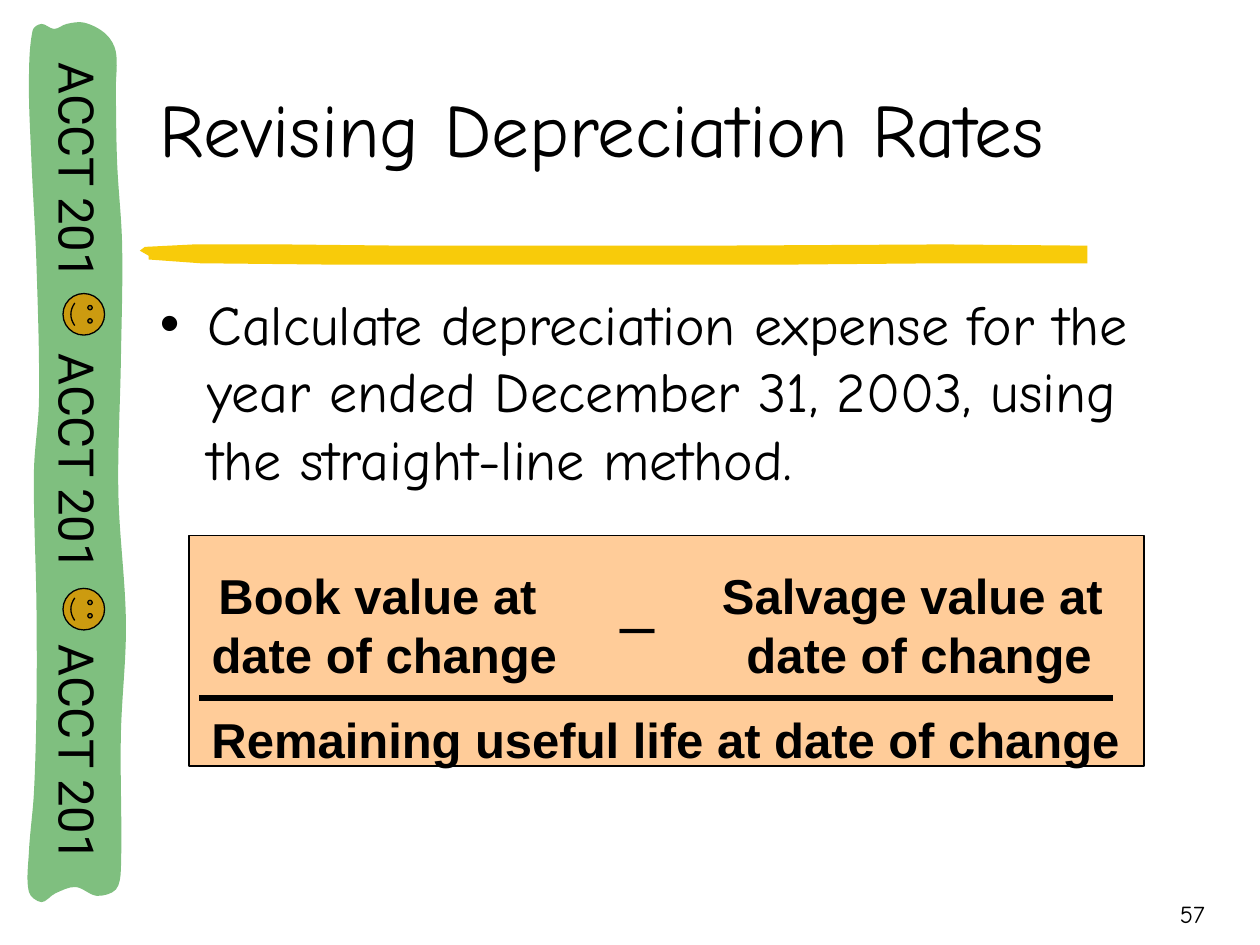
from math import dist
from lxml.etree import SubElement
from pptx import Presentation
from pptx.dml.color import RGBColor
from pptx.enum.shapes import MSO_CONNECTOR, MSO_SHAPE
from pptx.enum.text import MSO_ANCHOR, PP_ALIGN
from pptx.oxml.ns import qn
from pptx.util import Inches, Pt

COLORS = {"ink": "000000", "green": "008000", "yellow": "F8CB0A",
          "smiley": "CC9B10", "peach": "FFCC99"}

# Outlines in inches on the slide
BRUSH_STROKE = [
    (2.59, 2.1), (1.59, 2.09), (1.18, 2.06), (1.18, 2.03), (1.11, 1.99), (1.15, 1.96),
    (1.54, 1.94), (2.25, 1.94), (3.2, 1.95), (4.46, 1.95), (5.62, 1.95), (7.49, 1.94),
    (8.63, 1.95), (8.63, 2.09), (7.49, 2.09), (6.29, 2.1), (4.7, 2.1), (3.71, 2.1)]
BANNER = [
    (0.29, 5.61), (0.29, 4.81), (0.27, 3.75), (0.31, 3.17), (0.29, 2.1), (0.25, 1.27),
    (0.23, 0.65), (0.26, 0.24), (0.33, 0.19), (0.43, 0.23), (0.53, 0.19), (0.67, 0.18),
    (0.84, 0.27), (0.92, 0.41), (0.92, 0.71), (0.93, 1.29), (0.97, 1.95), (0.96, 2.86),
    (0.94, 3.91), (1, 4.95), (0.96, 5.83), (0.96, 6.9), (0.92, 7.06), (0.77, 7.11),
    (0.6, 7.04), (0.44, 7.09), (0.33, 7.16), (0.23, 7.08), (0.23, 6.76), (0.27, 6.29)]


def color(name):
    return RGBColor.from_string(COLORS[name])


def paint(shape, fill, outlined=False):
    shape.shadow.inherit = False
    shape.fill.solid()
    shape.fill.fore_color.rgb = color(fill)
    if outlined:
        shape.line.color.rgb = color("ink")
        shape.line.width = Pt(0.75)
    else:
        shape.line.fill.background()


def add_outline(page, points, fill):
    corners = [(Inches(x), Inches(y)) for x, y in points]
    builder = page.shapes.build_freeform(*corners[0], scale=1.0)
    builder.add_line_segments(corners[1:], close=True)
    shape = builder.convert_to_shape()
    paint(shape, fill)
    return shape


def round_outline(shape, points):
    """Turn the sides of a closed outline into curves through its points."""
    outline = next(shape._element.iter(qn("a:path")))
    for side in outline.findall(qn("a:lnTo")):
        outline.remove(side)
    closing = outline.find(qn("a:close"))
    left, top = (min(values) for values in zip(*points))
    count = len(points)
    for index in range(count):
        before, start, end, after = (points[(index + k) % count] for k in (-1, 0, 1, 2))
        length = dist(start, end)
        pull_out = length / (dist(before, start) + length) / 3
        pull_in = length / (length + dist(end, after)) / 3
        leave = [s + (e - b) * pull_out for b, s, e in zip(before, start, end)]
        arrive = [e - (a - s) * pull_in for s, e, a in zip(start, end, after)]
        curve = SubElement(outline, qn("a:cubicBezTo"))
        for x, y in (leave, arrive, end):
            SubElement(curve, qn("a:pt"), x=str(Inches(x - left)), y=str(Inches(y - top)))
    outline.append(closing)


def add_text(page, box, lines, size, font, align=PP_ALIGN.LEFT,
             anchor=MSO_ANCHOR.TOP, bold=False, wrap=True):
    """Place one paragraph, with line breaks between its lines."""
    text_box = page.shapes.add_textbox(*map(Inches, box))
    frame = text_box.text_frame
    frame.word_wrap = wrap
    frame.vertical_anchor = anchor
    para = frame.paragraphs[0]
    para.alignment = align
    for number, line in enumerate(lines):
        if number:
            para.add_line_break()
        span = para.add_run()
        span.text = line
        span.font.size = Pt(size)
        span.font.name = font
        span.font.bold = bold
        span.font.color.rgb = color("ink")
    return text_box, para


def add_side_banner(page, box):
    left, top, width, height = box
    banner = add_outline(page, BANNER, "green")
    round_outline(banner, BANNER)
    tint = next(banner._element.spPr.iter(qn("a:srgbClr")))
    SubElement(tint, qn("a:alpha"), val="50000")

    # Course name three times along the banner, spaced by tab stops
    length, thickness, pitch = 6.67, 0.58, 2.31
    center_x, center_y = left + width / 2 + 0.01, top + height / 2
    label, para = add_text(
        page, (center_x - length / 2, center_y - thickness / 2, length, thickness),
        ["\t".join(["ACCT 201"] * 3)], 28, "Roboto", anchor=MSO_ANCHOR.MIDDLE)
    label.rotation = 90
    label.text_frame.margin_left = Inches(0.16)
    para.space_before = Pt(7)
    tabs = SubElement(para._p.get_or_add_pPr(), qn("a:tabLst"))
    for stop in (1, 2):
        SubElement(tabs, qn("a:tab"), pos=str(Inches(pitch * stop)), algn="l")

    # Smiley faces between the names
    face_size = 0.33
    for face_top in (2.33, 4.67):
        face = page.shapes.add_shape(
            MSO_SHAPE.SMILEY_FACE, Inches(left + 0.28), Inches(face_top),
            Inches(face_size), Inches(face_size))
        face.rotation = 90
        paint(face, "smiley", outlined=True)


def add_bullet(page, box, text):
    _, para = add_text(page, box, [text], 32, "Comic Neue")
    para.space_before = Pt(8)
    props = para._p.get_or_add_pPr()
    props.set("marL", str(Inches(0.38)))
    props.set("indent", str(-Inches(0.38)))
    SubElement(props, qn("a:buFont"), typeface="Arial")
    SubElement(props, qn("a:buChar"), char="•")


def add_formula(page, box):
    left, top, width, height = box
    panel = page.shapes.add_shape(MSO_SHAPE.RECTANGLE, *map(Inches, box))
    paint(panel, "peach", outlined=True)

    # Numerator: two terms and the minus sign
    terms = [(0.08, 2.94, "Book value at "), (4.13, 3.33, "Salvage value at ")]
    for offset, term_width, first_line in terms:
        add_text(page, (left + offset, top + 0.19, term_width, 1.03),
                 [first_line, "date of change"], 28, "Arial",
                 align=PP_ALIGN.CENTER, bold=True, wrap=False)
    add_text(page, (left + 3.32, top + 0.34, 0.48, 0.7), ["–"], 36, "Arial", wrap=False)

    # Fraction bar
    bar_y = Inches(top + 1.29)
    bar = page.shapes.add_connector(MSO_CONNECTOR.STRAIGHT, Inches(left + 0.08), bar_y,
                                    Inches(left + width - 0.25), bar_y)
    bar.line.color.rgb = color("ink")
    bar.line.width = Pt(3)
    SubElement(bar._element.spPr, qn("a:effectLst"))

    # Denominator
    add_text(page, (left + 0.08, top + 1.33, 7.41, 0.56),
             ["Remaining useful life at date of change"], 28, "Arial",
             bold=True, wrap=False)


def main():
    deck = Presentation()
    deck.slide_width, deck.slide_height = Inches(10), Inches(7.5)
    page = deck.slides.add_slide(deck.slide_layouts[6])

    add_outline(page, BRUSH_STROKE, "yellow")
    add_side_banner(page, (0.22, 0.17, 0.78, 7))
    add_text(page, (7.58, 6.92, 2.08, 0.5), ["57"], 14, "Comic Neue",
             align=PP_ALIGN.RIGHT, anchor=MSO_ANCHOR.BOTTOM)
    add_formula(page, (1.5, 4.25, 7.58, 1.83))
    add_text(page, (1.17, 0.6, 8.8, 0.82), ["Revising Depreciation Rates"], 43,
             "Comic Neue", anchor=MSO_ANCHOR.MIDDLE)
    add_bullet(page, (1.17, 2.25, 8.5, 4.5),
               "Calculate depreciation expense for the year ended December 31, 2003, "
               "using the straight-line method.")
    deck.save("out.pptx")


if __name__ == "__main__":
    main()
